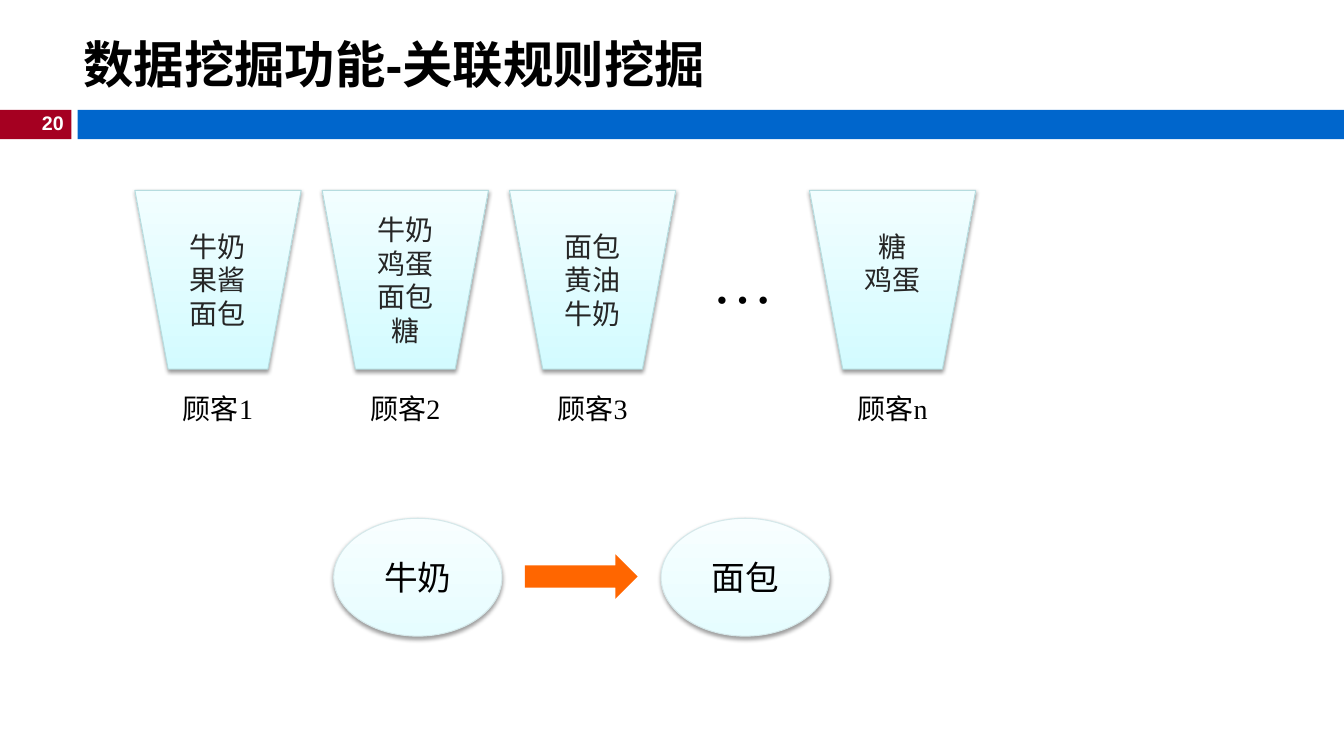
"""Builds the slide on association rule mining with shopping baskets."""
from dataclasses import dataclass

from lxml import etree
from pptx import Presentation
from pptx.dml.color import RGBColor
from pptx.enum.shapes import MSO_SHAPE
from pptx.enum.text import MSO_ANCHOR, PP_ALIGN
from pptx.oxml.ns import qn
from pptx.shapes.autoshape import Shape
from pptx.slide import Slide
from pptx.util import Cm, Pt

RECTANGLE = MSO_SHAPE.RECTANGLE
BASKET = MSO_SHAPE.FLOWCHART_MANUAL_OPERATION
OVAL = MSO_SHAPE.OVAL
RIGHT_ARROW = MSO_SHAPE.RIGHT_ARROW
TOP, MIDDLE = MSO_ANCHOR.TOP, MSO_ANCHOR.MIDDLE
LEFT, CENTER, RIGHT = PP_ALIGN.LEFT, PP_ALIGN.CENTER, PP_ALIGN.RIGHT


@dataclass(frozen=True)
class Glaze:
    bottom: str
    top: str
    edge: str


@dataclass(frozen=True)
class Theme:
    heading_font: str = "Arial"
    body_font: str = "Times New Roman"
    black: str = "000000"
    white: str = "FFFFFF"
    item: str = "262626"
    number_bar: str = "A50021"
    title_bar: str = "0066CC"
    arrow: str = "FF6600"
    basket: Glaze = Glaze("D3FBFF", "F2FEFF", "B6DCDF")
    rule: Glaze = Glaze("E6FDFF", "F8FEFF", "D5E8EA")
    title_size: int = 36
    number_size: int = 14
    item_size: int = 20
    rule_size: int = 24
    dots_size: int = 44


@dataclass(frozen=True)
class Box:
    left: float
    top: float
    width: float
    height: float

    def lengths(self) -> tuple[Cm, Cm, Cm, Cm]:
        """Return the four measures as slide lengths."""
        return Cm(self.left), Cm(self.top), Cm(self.width), Cm(self.height)


@dataclass(frozen=True)
class Customer:
    name: str
    items: tuple[str, ...]
    left: float
    free_rows: int = 0


THEME = Theme()
FIRST_BASKET, BASKET_PITCH = 3.4, 4.72
BASKET_WIDTH, LABEL_WIDTH, ROW_HEIGHT = 4.19, 3.6, 0.85
CUSTOMERS = (
    Customer("1", ("牛奶", "果酱", "面包"), FIRST_BASKET),
    Customer("2", ("牛奶", "鸡蛋", "面包", "糖"), FIRST_BASKET + BASKET_PITCH),
    Customer("3", ("面包", "黄油", "牛奶"), FIRST_BASKET + 2 * BASKET_PITCH),
    Customer("n", ("糖", "鸡蛋"), 20.4, free_rows=1),
)
RULE_SIDES = (("牛奶", 8.41), ("面包", 16.66))


def write(shape: Shape, *lines: str, size: int, color: str = THEME.black,
          font: str = THEME.body_font, bold: bool = False, wrap: bool = True,
          align: PP_ALIGN = CENTER, anchor: MSO_ANCHOR = MIDDLE) -> None:
    """Write one paragraph per line into a shape."""
    frame = shape.text_frame
    frame.word_wrap = wrap
    frame.vertical_anchor = anchor
    frame.text = "\n".join(lines)
    for paragraph in frame.paragraphs:
        paragraph.alignment = align
        for run in paragraph.runs:
            run.font.name = font
            run.font.size = Pt(size)
            run.font.bold = bold
            run.font.color.rgb = RGBColor.from_string(color)


def add_text(slide: Slide, box: Box, text: str, **style) -> None:
    """Add a text box in the given style."""
    write(slide.shapes.add_textbox(*box.lengths()), text, **style)


def add_flat(slide: Slide, kind: MSO_SHAPE, box: Box, color: str) -> None:
    """Add a plain shape without an outline."""
    shape = slide.shapes.add_shape(kind, *box.lengths())
    shape.shadow.inherit = False
    shape.fill.solid()
    shape.fill.fore_color.rgb = RGBColor.from_string(color)
    shape.line.fill.background()


def add_glazed(slide: Slide, kind: MSO_SHAPE, box: Box, glaze: Glaze) -> Shape:
    """Add a shape with a vertical gradient and a soft shadow."""
    shape = slide.shapes.add_shape(kind, *box.lengths())
    shape.fill.gradient()
    shape.fill.gradient_angle = 90
    for stop, color in zip(shape.fill.gradient_stops, (glaze.bottom, glaze.top)):
        stop.color.rgb = RGBColor.from_string(color)
    shape.line.color.rgb = RGBColor.from_string(glaze.edge)
    shape.line.width = Pt(0.75)
    shape.shadow.inherit = False
    effects = shape._element.spPr.find(qn("a:effectLst"))
    shadow = etree.SubElement(effects, qn("a:outerShdw"), blurRad=str(Pt(3.1)),
                              dist=str(Pt(1.6)), dir="5400000", rotWithShape="0")
    tone = etree.SubElement(shadow, qn("a:srgbClr"), val=THEME.black)
    etree.SubElement(tone, qn("a:alpha"), val="38000")
    return shape


def add_header(slide: Slide) -> None:
    """Add the title, the colour bars and the slide number."""
    add_flat(slide, RECTANGLE, Box(0, 2.77, 1.8, 0.74), THEME.number_bar)
    add_flat(slide, RECTANGLE, Box(1.96, 2.77, 31.91, 0.74), THEME.title_bar)
    add_text(slide, Box(0.74, 2.67, 1.12, 0.86), "20", size=THEME.number_size,
             color=THEME.white, font=THEME.heading_font, bold=True, wrap=False,
             align=RIGHT, anchor=TOP)
    add_text(slide, Box(1.85, 0.66, 32, 1.88), "数据挖掘功能-关联规则挖掘",
             size=THEME.title_size, font=THEME.heading_font, bold=True, align=LEFT)


def add_customer(slide: Slide, customer: Customer) -> None:
    """Add a filled basket with its customer below."""
    basket = add_glazed(slide, BASKET, Box(customer.left, 4.8, BASKET_WIDTH, 4.5),
                        THEME.basket)
    write(basket, *customer.items, size=THEME.item_size, color=THEME.item)
    basket.text_frame.margin_bottom = Cm(0.13 + customer.free_rows * ROW_HEIGHT)
    label_left = customer.left + (BASKET_WIDTH - LABEL_WIDTH) / 2
    add_text(slide, Box(label_left, 9.73, LABEL_WIDTH, 1.12), f"顾客{customer.name}",
             size=THEME.item_size, anchor=TOP)


def add_rule(slide: Slide) -> None:
    """Add both sides of the rule and the arrow between them."""
    for product, left in RULE_SIDES:
        side = add_glazed(slide, OVAL, Box(left, 13.06, 4.24, 2.97), THEME.rule)
        write(side, product, size=THEME.rule_size)
    add_flat(slide, RIGHT_ARROW, Box(13.23, 13.97, 2.84, 1.12), THEME.arrow)


def main() -> None:
    """Build and save the presentation."""
    presentation = Presentation()
    presentation.slide_width, presentation.slide_height = Cm(33.87), Cm(19.05)
    slide = presentation.slides.add_slide(presentation.slide_layouts[6])
    add_header(slide)
    for customer in CUSTOMERS:
        add_customer(slide, customer)
    add_text(slide, Box(17.55, 5.97, 2.34, 2.13), "…", size=THEME.dots_size, anchor=TOP)
    add_rule(slide)
    presentation.save("out.pptx")


if __name__ == "__main__":
    main()
